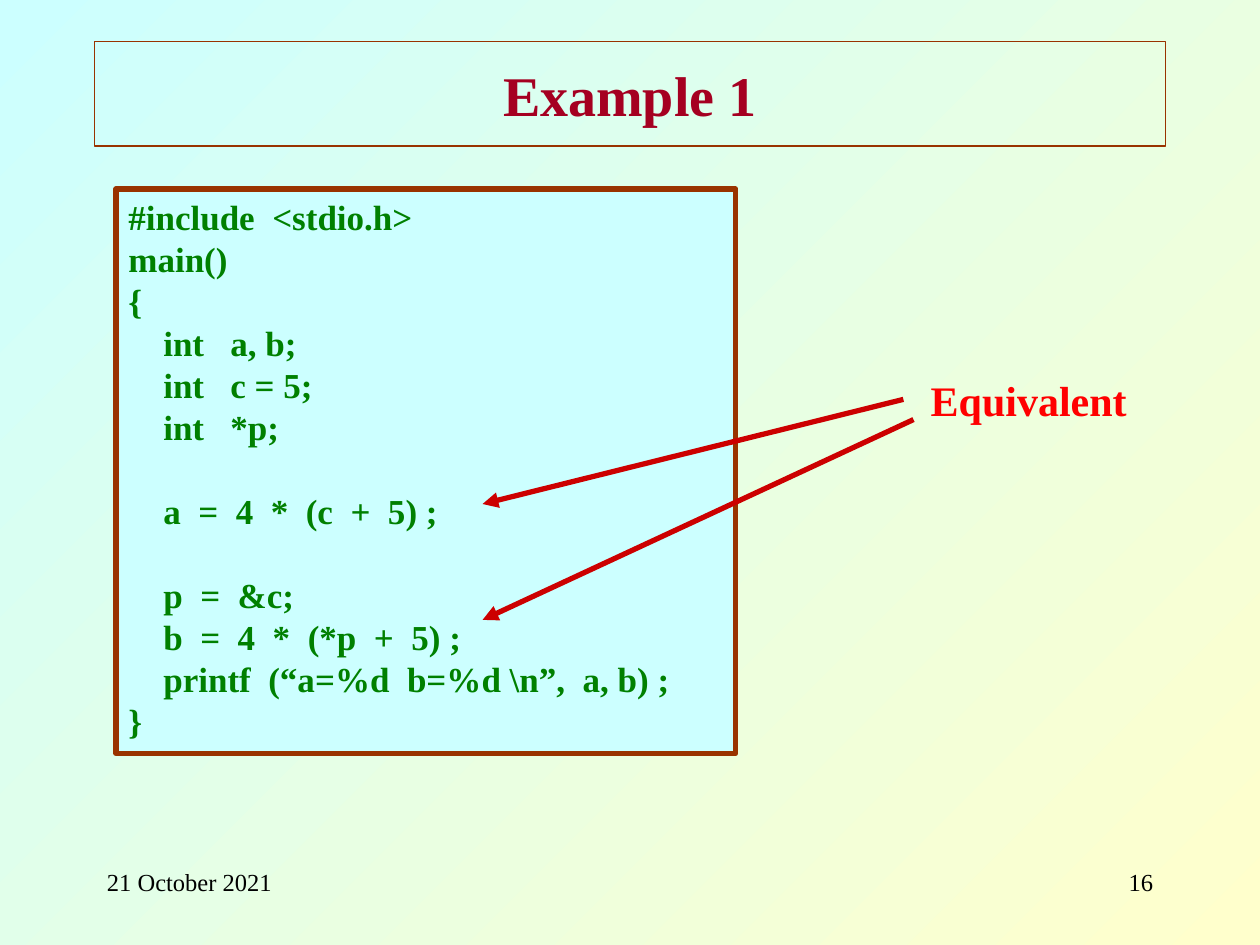
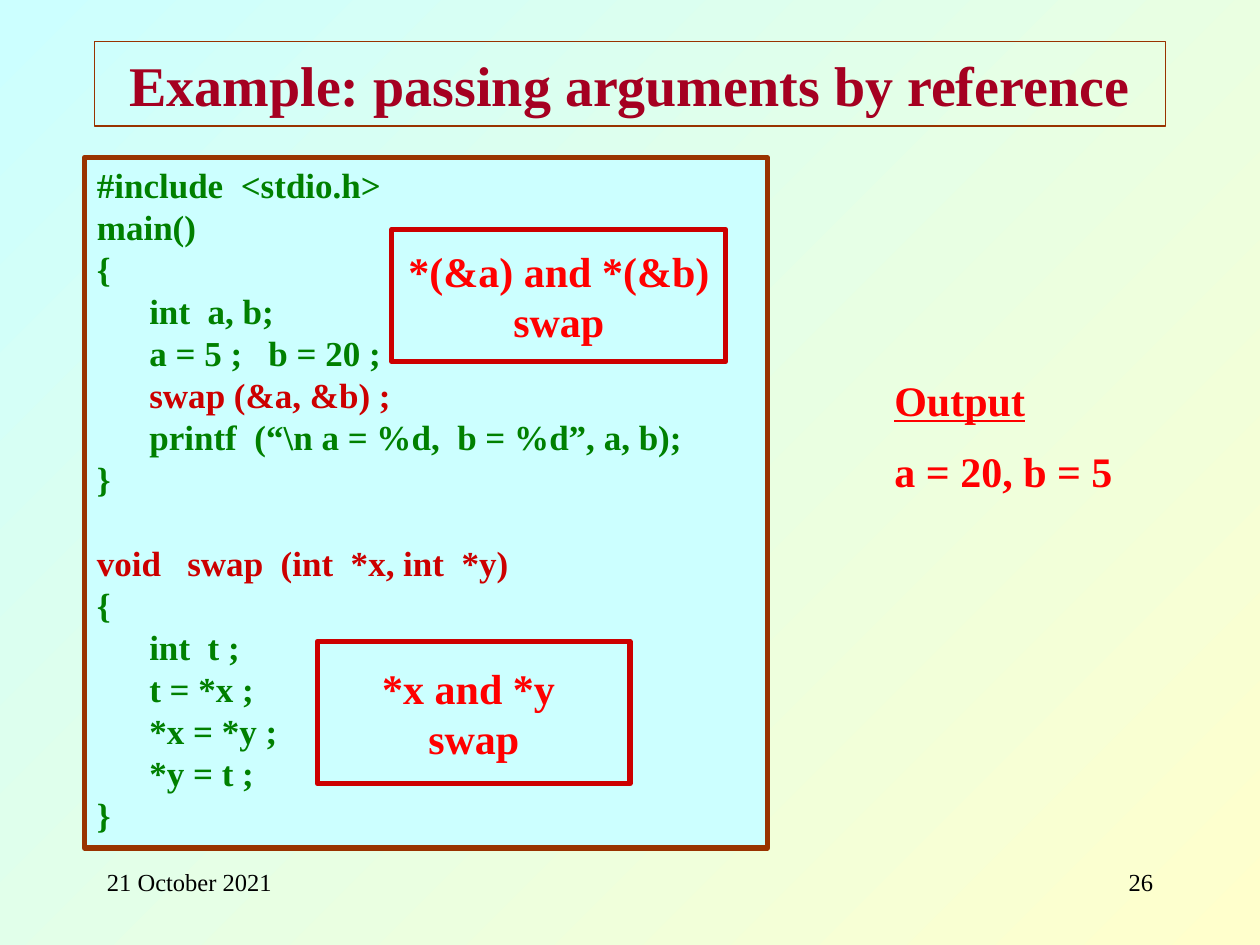
from lxml.etree import SubElement
from pptx import Presentation
from pptx.dml.color import RGBColor
from pptx.enum.shapes import MSO_CONNECTOR, MSO_SHAPE
from pptx.enum.text import MSO_ANCHOR, PP_ALIGN
from pptx.oxml.ns import qn
from pptx.util import Inches, Pt

COLOURS = {
    "sky": "CCFFFF", "cream": "FFFFCC", "brown": "993300", "title": "A50021",
    "code": "008000", "accent": "CC0000", "note": "FF0000", "footer": "000000",
}
FONT = "Times New Roman"


def colour(name):
    return RGBColor.from_string(COLOURS[name])


def add_box(slide, place, lines, size, text_colour, align=PP_ALIGN.LEFT, bold=True,
            fill=None, line=None, line_width=3, middle=False, wrap=True,
            gap=0, red_lines=(), underlined=()):
    """Add a rectangle, or a text box when it has no outline, one paragraph per line."""
    area = [Inches(length) for length in place]
    if line:
        shape = slide.shapes.add_shape(MSO_SHAPE.RECTANGLE, *area)
        shape.shadow.inherit = False
        shape.line.color.rgb = colour(line)
        shape.line.width = Pt(line_width)
    else:
        shape = slide.shapes.add_textbox(*area)
    if fill:
        shape.fill.solid()
        shape.fill.fore_color.rgb = colour(fill)
    else:
        shape.fill.background()
    frame = shape.text_frame
    frame.word_wrap = wrap
    frame.vertical_anchor = MSO_ANCHOR.MIDDLE if middle else MSO_ANCHOR.TOP
    for index, text in enumerate(lines):
        paragraph = frame.add_paragraph() if index else frame.paragraphs[0]
        paragraph.alignment = align
        paragraph.line_spacing = Pt(size * 1.2)
        if index and gap:
            paragraph.space_before = Pt(gap)
        if not text:
            continue
        run = paragraph.add_run()
        run.text = text
        run.font.name = FONT
        run.font.size = Pt(size)
        run.font.bold = bold
        run.font.underline = text in underlined
        run.font.color.rgb = colour("accent" if text.strip() in red_lines else text_colour)


POINTER_CODE = r"""#include  <stdio.h>
main()
{
    int   a, b;
    int   c = 5;
    int   *p;

    a  =  4  *  (c  +  5) ;

    p  =  &c;
    b  =  4  *  (*p  +  5) ;
    printf  (“a=%d  b=%d \n”,  a, b) ;
}"""

SWAP_CODE = r"""#include  <stdio.h>
main()
{
      int  a, b;
      a = 5 ;   b = 20 ;
      swap (&a, &b) ;
      printf  (“\n a = %d,  b = %d”, a, b);
}

void   swap  (int  *x, int  *y)
{
      int  t ;
      t = *x ;
      *x = *y ;
      *y = t ;
}"""
SWAP_LINES = ("swap (&a, &b) ;", "void   swap  (int  *x, int  *y)")

# number, title, title height, code, code place
PAGES = [
    ("16", "Example 1", 0.83, POINTER_CODE, (0.92, 1.5, 4.92, 4.48)),
    ("26", "Example: passing arguments by reference", 0.67, SWAP_CODE,
     (0.67, 1.25, 5.42, 5.48)),
]

presentation = Presentation()
presentation.slide_width = Inches(10)
presentation.slide_height = Inches(7.5)

slides = []
for number, title, title_height, code, code_place in PAGES:
    slide = presentation.slides.add_slide(presentation.slide_layouts[6])
    slides.append(slide)
    background = slide.background.fill
    background.gradient()
    background.gradient_angle = 315
    for stop, name in zip(background.gradient_stops, ("sky", "cream")):
        stop.color.rgb = colour(name)
    add_box(slide, (0.75, 6.83, 2.08, 0.5), ["21 October 2021"], 14, "footer", bold=False)
    add_box(slide, (7.17, 6.83, 2.08, 0.5), [number], 14, "footer",
            align=PP_ALIGN.RIGHT, bold=False)
    add_box(slide, (0.75, 0.33, 8.5, title_height), [title], 32, "title",
            align=PP_ALIGN.CENTER, line="brown", line_width=0.75, middle=True)
    add_box(slide, code_place, code.split("\n"), 20, "code", fill="sky", line="brown",
            red_lines=SWAP_LINES)

pointer_slide, swap_slide = slides

# Equivalent statements
add_box(pointer_slide, (7, 2.92, 2.33, 0.5), ["Equivalent"], 24, "note",
        align=PP_ALIGN.CENTER)
for start_x, start_y, end_y in ((7.17, 3.17, 4), (7.25, 3.33, 4.92)):
    arrow = pointer_slide.shapes.add_connector(
        MSO_CONNECTOR.STRAIGHT, Inches(start_x), Inches(start_y), Inches(3.83), Inches(end_y))
    arrow.line.color.rgb = colour("accent")
    arrow.line.width = Pt(3)
    SubElement(arrow.line._get_or_add_ln(), qn("a:tailEnd"), type="triangle")
    SubElement(arrow._element.spPr, qn("a:effectLst"))

# Output and what is swapped
add_box(swap_slide, (7, 2.92, 2.5, 1.1), ["Output", "a = 20, b = 5"], 24, "note",
        gap=12, underlined=("Output",))
for place, swapped in (((2.52, 5.09, 2.48, 1.13), "*x and *y "),
                       ((3.11, 1.82, 2.65, 1.05), "*(&a) and *(&b)")):
    add_box(swap_slide, place, [swapped, "swap"], 24, "note", align=PP_ALIGN.CENTER,
            fill="sky", line="accent", middle=True, wrap=False)

presentation.save("out.pptx")
